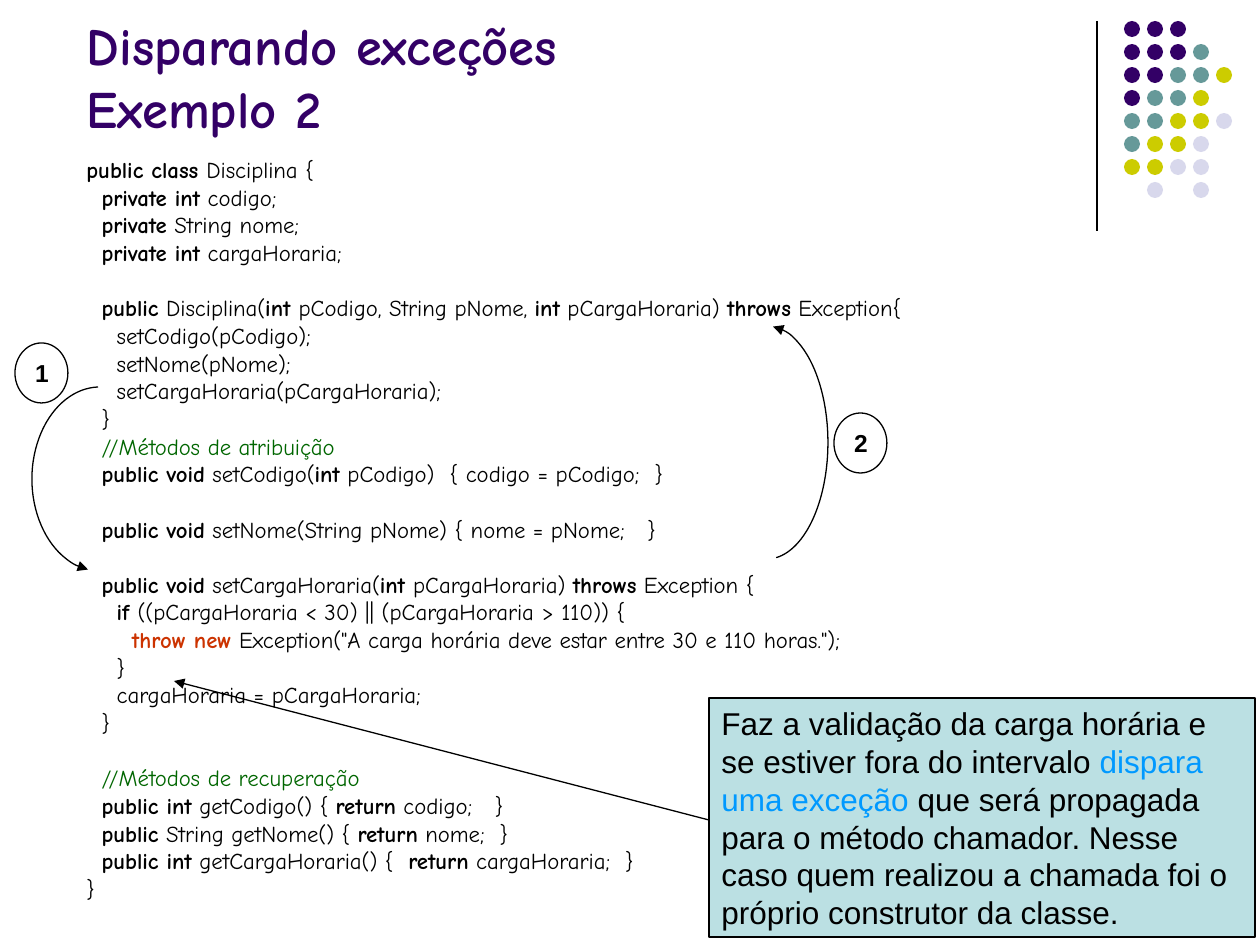
from dataclasses import dataclass

from lxml import etree
from pptx import Presentation
from pptx.dml.color import RGBColor
from pptx.enum.shapes import MSO_CONNECTOR, MSO_SHAPE
from pptx.enum.text import MSO_ANCHOR, MSO_AUTO_SIZE, PP_ALIGN
from pptx.oxml.ns import qn
from pptx.util import Emu, Pt

ELLIPSE = MSO_SHAPE.OVAL
RECTANGLE = MSO_SHAPE.RECTANGLE
ARC = MSO_SHAPE.ARC
STRAIGHT = MSO_CONNECTOR.STRAIGHT
TOP, MIDDLE, BOTTOM = MSO_ANCHOR.TOP, MSO_ANCHOR.MIDDLE, MSO_ANCHOR.BOTTOM
LEFT, CENTER = PP_ALIGN.LEFT, PP_ALIGN.CENTER
NO_AUTOFIT = MSO_AUTO_SIZE.NONE

PX_PER_INCH = 126
EMU_PER_INCH = 914400
PAGE_WIDTH, PAGE_HEIGHT = 1260, 945

COLORS = {
    "black": "000000",
    "purple": "330066",
    "teal": "669999",
    "lime": "CCCC00",
    "lavender": "D8D8EC",
    "comment": "006600",
    "throw": "CC3300",
    "callout": "BBE0E3",
    "highlight": "0099FF",
}
CODE_FONT = "Comic Neue"
TEXT_FONT = "Arial"

DOT_ROWS = ["PPP", "PPPT", "PPTTL", "PTTL", "TTLLV", "TLLV", "LLVV", " V V"]
DOT_COLORS = {"P": "purple", "T": "teal", "L": "lime", "V": "lavender"}
DOT_LEFT, DOT_TOP, DOT_SIZE, DOT_PITCH = 1124, 21, 16, 23

LINE_GAP = 3.3
BLOCK_GAP = 19.1
BOLD_MARK = "*"
CODE_BLOCKS = [
    [
        "*public class *Disciplina {",
        "  *private int* codigo;",
        "  *private* String nome;",
        "  *private int* cargaHoraria;",
    ],
    [
        "  *public* Disciplina(*int *pCodigo, String pNome, *int* pCargaHoraria) *throws* Exception{",
        "    setCodigo(pCodigo);",
        "    setNome(pNome);",
        "    setCargaHoraria(pCargaHoraria);",
        "  }",
        "  //Métodos de atribuição",
        "  *public void* setCodigo(*int* pCodigo)  { codigo = pCodigo;  }",
    ],
    ["  *public void* setNome(String pNome) { nome = pNome;   }"],
    [
        "  *public void* setCargaHoraria(*int *pCargaHoraria) *throws* Exception {",
        "    *if *((pCargaHoraria < 30) || (pCargaHoraria > 110)) {",
        '      *throw new* Exception("A carga horária deve estar entre 30 e 110 horas.");',
        "    }",
        "    cargaHoraria = pCargaHoraria;",
        "  }",
    ],
    [
        "  //Métodos de recuperação",
        "  *public int* getCodigo() { *return* codigo;   }",
        "  *public* String getNome() { *return* nome;  }",
        "  *public int* getCargaHoraria() {  *return* cargaHoraria;  }",
        "}",
    ],
]
CALLOUT_SPANS = [
    ("Faz a validação da carga horária e se estiver fora do intervalo ", "black"),
    ("dispara uma exceção", "highlight"),
    (" que será propagada para o método chamador. Nesse caso quem realizou "
     "a chamada foi o próprio construtor da classe.", "black"),
]


@dataclass
class Box:
    left: int
    top: int
    width: int
    height: int


@dataclass
class CallArc:
    box: Box
    start: float
    end: float


@dataclass
class Step:
    label: str
    box: Box


TITLE_BOX = Box(74, 6, 1028, 139)
CODE_BOX = Box(74, 155, 1042, 764)
CALLOUT_BOX = Box(709, 698, 546, 239)
CALL_ARCS = [
    CallArc(Box(32, 387, 136, 184), 97.5, 268.8),
    CallArc(Box(706, 326, 122, 233), 273, 85.4),
]
STEPS = [Step("1", Box(15, 343, 53, 60)), Step("2", Box(834, 413, 53, 60))]


def px(length: int) -> Emu:
    return Emu(round(length * EMU_PER_INCH / PX_PER_INCH))


def place(box: Box) -> tuple:
    return px(box.left), px(box.top), px(box.width), px(box.height)


def color(name: str) -> RGBColor:
    return RGBColor.from_string(COLORS[name])


def add_span(para, text: str, font: str, size: int, color_name: str, bold: bool = False) -> None:
    span = para.add_run()
    span.text = text
    span.font.name = font
    span.font.size = Pt(size)
    span.font.bold = bold
    span.font.color.rgb = color(color_name)


def set_line(shape, end: str = "") -> None:
    shape.line.color.rgb = color("black")
    shape.line.width = Pt(0.75)
    if end:
        etree.SubElement(shape.line._get_or_add_ln(), qn(f"a:{end}"), type="triangle")


def add_shape(page, kind, box: Box, fill: str = "", outlined: bool = True, end: str = ""):
    shape = page.shapes.add_shape(kind, *place(box))
    shape.shadow.inherit = False
    if fill:
        shape.fill.solid()
        shape.fill.fore_color.rgb = color(fill)
    else:
        shape.fill.background()
    if outlined:
        set_line(shape, end)
    else:
        shape.line.fill.background()
    return shape


def add_line(page, start: tuple[int, int], finish: tuple[int, int], end: str = "") -> None:
    line = page.shapes.add_connector(STRAIGHT, *map(px, start + finish))
    set_line(line, end)
    etree.SubElement(line._element.spPr, qn("a:effectLst"))


def add_dots(page) -> None:
    for row, letters in enumerate(DOT_ROWS):
        for column, letter in enumerate(letters):
            if letter in DOT_COLORS:
                box = Box(DOT_LEFT + column * DOT_PITCH, DOT_TOP + row * DOT_PITCH, DOT_SIZE, DOT_SIZE)
                add_shape(page, ELLIPSE, box, DOT_COLORS[letter], outlined=False)


def add_title(page) -> None:
    title = page.shapes.title
    title.left, title.top, title.width, title.height = place(TITLE_BOX)
    frame = title.text_frame
    frame.auto_size = NO_AUTOFIT
    frame.vertical_anchor = BOTTOM
    para = frame.paragraphs[0]
    para.alignment = LEFT
    add_span(para, "Disparando exceções", CODE_FONT, 30, "purple", True)
    para.add_line_break()
    add_span(para, "Exemplo 2", CODE_FONT, 30, "purple", True)


def add_code(page) -> None:
    frame = page.shapes.add_textbox(*place(CODE_BOX)).text_frame
    frame.word_wrap = True
    para = frame.paragraphs[0]
    for block_index, block in enumerate(CODE_BLOCKS):
        for line_index, line in enumerate(block):
            if block_index or line_index:
                para = frame.add_paragraph()
                para.space_before = Pt(LINE_GAP if line_index else BLOCK_GAP)
            para.line_spacing = 0.8
            base = "comment" if line.lstrip().startswith("//") else "black"
            for index, text in enumerate(line.split(BOLD_MARK)):
                if text:
                    name = "throw" if text == "throw new" else base
                    add_span(para, text, CODE_FONT, 13, name, index % 2 == 1)


def add_callout(page) -> None:
    frame = add_shape(page, RECTANGLE, CALLOUT_BOX, "callout").text_frame
    frame.word_wrap = True
    frame.vertical_anchor = TOP
    para = frame.paragraphs[0]
    para.alignment = LEFT
    for text, name in CALLOUT_SPANS:
        add_span(para, text, TEXT_FONT, 18, name)


def add_call_arc(page, arc: CallArc) -> None:
    shape = add_shape(page, ARC, arc.box, end="headEnd")
    for index, degrees in enumerate((arc.start, arc.end)):
        shape.adjustments[index] = degrees * 0.6


def add_step(page, step: Step) -> None:
    frame = add_shape(page, ELLIPSE, step.box).text_frame
    frame.vertical_anchor = MIDDLE
    para = frame.paragraphs[0]
    para.alignment = CENTER
    add_span(para, step.label, TEXT_FONT, 14, "black", True)


def main() -> None:
    deck = Presentation()
    deck.slide_width, deck.slide_height = px(PAGE_WIDTH), px(PAGE_HEIGHT)
    page = deck.slides.add_slide(deck.slide_layouts.get_by_name("Title Only"))
    add_line(page, (1097, 21), (1097, 231))
    add_dots(page)
    add_title(page)
    add_code(page)
    add_callout(page)
    add_line(page, (709, 820), (174, 681), "tailEnd")
    for arc in CALL_ARCS:
        add_call_arc(page, arc)
    for step in STEPS:
        add_step(page, step)
    deck.save("out.pptx")


if __name__ == "__main__":
    main()
